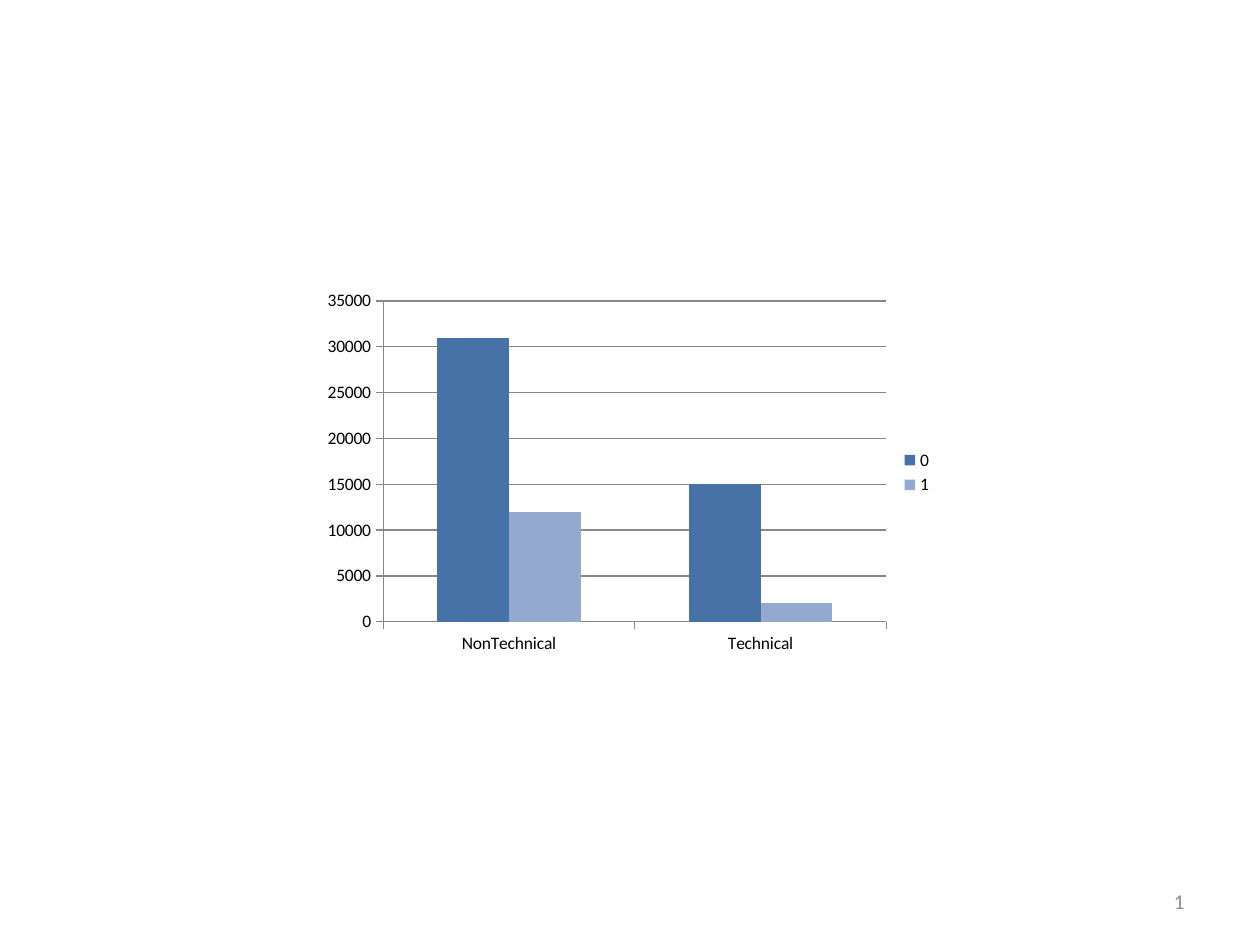
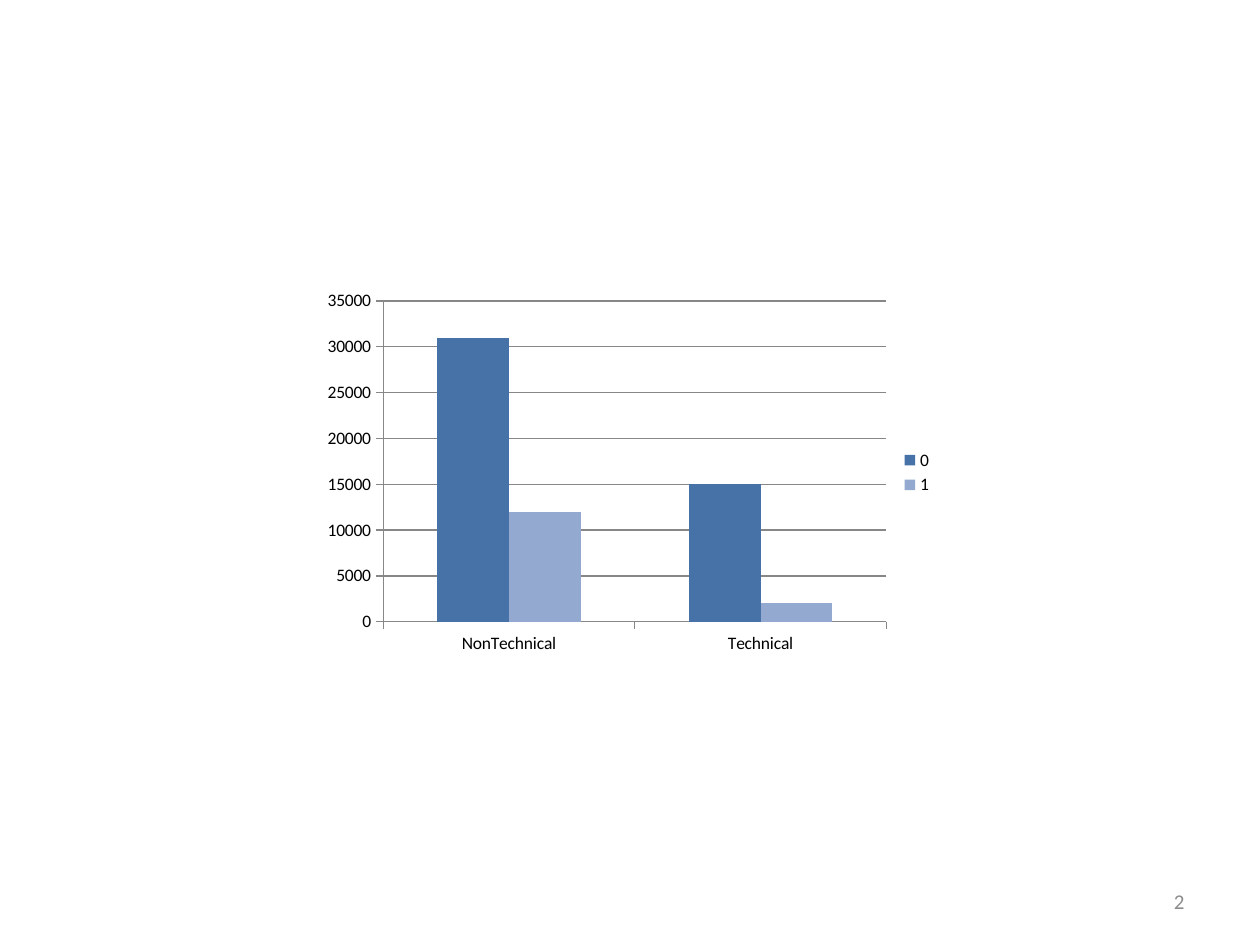
from dataclasses import dataclass

from lxml import etree
from pptx import Presentation
from pptx.chart.data import CategoryChartData
from pptx.dml.color import RGBColor
from pptx.enum.chart import XL_CHART_TYPE, XL_LEGEND_POSITION, XL_TICK_MARK
from pptx.enum.text import MSO_ANCHOR, PP_ALIGN
from pptx.oxml.ns import qn
from pptx.util import Pt

PX = 9144  # 100 px to the inch
BLANK_LAYOUT = 6
COLUMNS = XL_CHART_TYPE.COLUMN_CLUSTERED
LEGEND_RIGHT = XL_LEGEND_POSITION.RIGHT
TICK_OUT = XL_TICK_MARK.OUTSIDE
TICK_NONE = XL_TICK_MARK.NONE
RIGHT = PP_ALIGN.RIGHT
MIDDLE = MSO_ANCHOR.MIDDLE


@dataclass(frozen=True)
class Theme:
    font: str = "Calibri"
    background: str = "FFFFFF"
    chart_text: str = "000000"
    number_text: str = "8C8C8C"
    axis: str = "878787"
    series: tuple = ("4672A8", "93A9CF")
    chart_size: int = 10
    number_size: int = 12


THEME = Theme()
CATEGORIES = ("NonTechnical", "Technical")
COUNTS = {"0": (31000, 15000), "1": (12000, 2000)}


def px(*lengths):
    return [length * PX for length in lengths]


def rgb(color):
    return RGBColor.from_string(color)


def style_font(font, size, color):
    font.name = THEME.font
    font.size = Pt(size)
    font.color.rgb = rgb(color)


def add_text(slide, text, box, *, size, color, align, anchor, field=None):
    """Add one line of text; field names the kind of automatic value it holds."""
    tf = slide.shapes.add_textbox(*px(*box)).text_frame
    tf.word_wrap = True
    tf.vertical_anchor = anchor
    p = tf.paragraphs[0]
    p.alignment = align
    r = p.add_run()
    r.text = text
    style_font(r.font, size, color)
    if field:
        fld = etree.Element(qn("a:fld"), type=field,
                            id="{B6F15528-21DE-4FAA-801E-634DDDAF4B2B}")
        p._p.replace(r._r, fld)
        fld.extend(list(r._r))


def add_slide_number(slide, number):
    add_text(slide, str(number), (717, 695, 233, 40), size=THEME.number_size,
             color=THEME.number_text, align=RIGHT, anchor=MIDDLE,
             field="slidenum")


def style_line(line):
    line.color.rgb = rgb(THEME.axis)
    line.width = Pt(0.75)


def add_column_chart(slide, categories, series, box):
    data = CategoryChartData()
    data.categories = categories
    for name, values in series.items():
        data.add_series(name, values)
    chart = slide.shapes.add_chart(COLUMNS, *px(*box), data).chart
    style_font(chart.font, THEME.chart_size, THEME.chart_text)
    chart.has_title = False
    chart.has_legend = True
    chart.legend.position = LEGEND_RIGHT
    chart.legend.include_in_layout = False

    plot = chart.plots[0]
    plot.gap_width = 150
    plot.overlap = 0
    plot.vary_by_categories = False
    for ser, color in zip(plot.series, THEME.series):
        ser.format.fill.solid()
        ser.format.fill.fore_color.rgb = rgb(color)

    for axis in (chart.category_axis, chart.value_axis):
        axis.major_tick_mark = TICK_OUT
        axis.minor_tick_mark = TICK_NONE
        style_line(axis.format.line)
    axis = chart.value_axis
    axis.minimum_scale, axis.maximum_scale, axis.major_unit = 0, 35000, 5000
    axis.has_major_gridlines = True
    style_line(axis.major_gridlines.format.line)


def add_chart_slide(prs, number):
    slide = prs.slides.add_slide(prs.slide_layouts[BLANK_LAYOUT])
    for placeholder in list(slide.placeholders):
        placeholder.element.getparent().remove(placeholder.element)
    slide.background.fill.solid()
    slide.background.fill.fore_color.rgb = rgb(THEME.background)
    add_slide_number(slide, number)
    add_column_chart(slide, CATEGORIES, COUNTS, (250, 225, 500, 300))


def main():
    prs = Presentation()
    prs.slide_width, prs.slide_height = px(1000, 750)
    for number in (1, 2):
        add_chart_slide(prs, number)
    prs.save("out.pptx")


if __name__ == "__main__":
    main()
